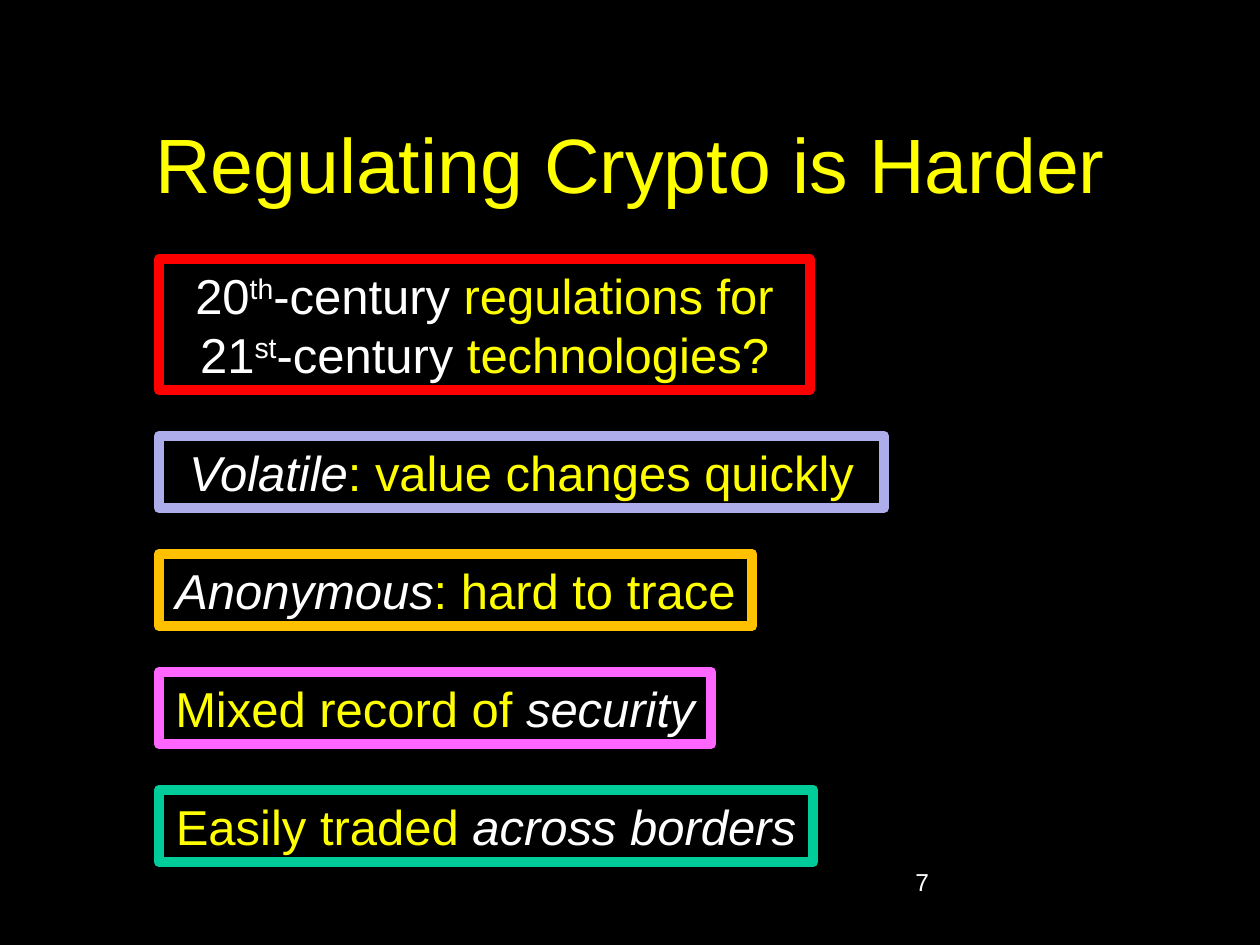
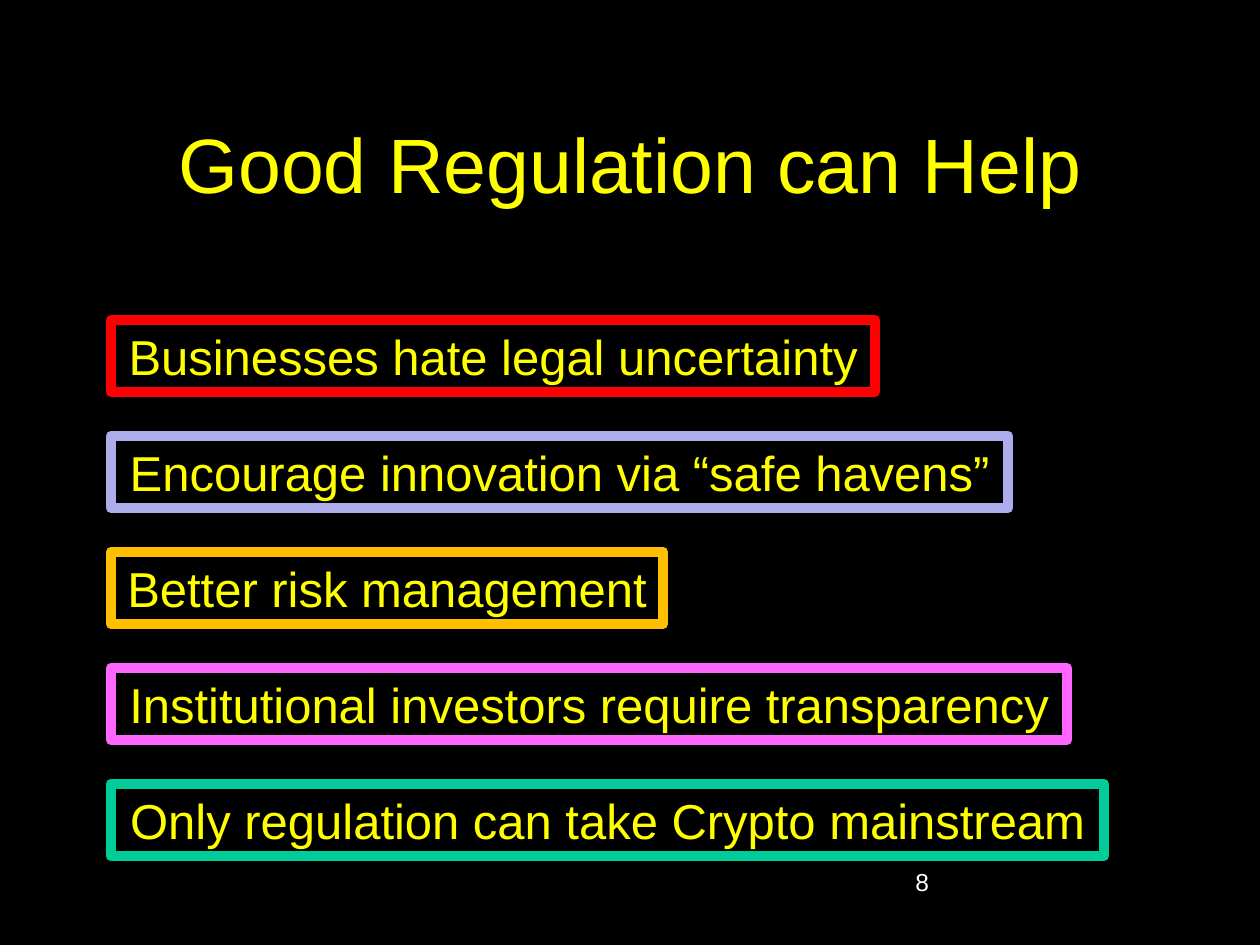
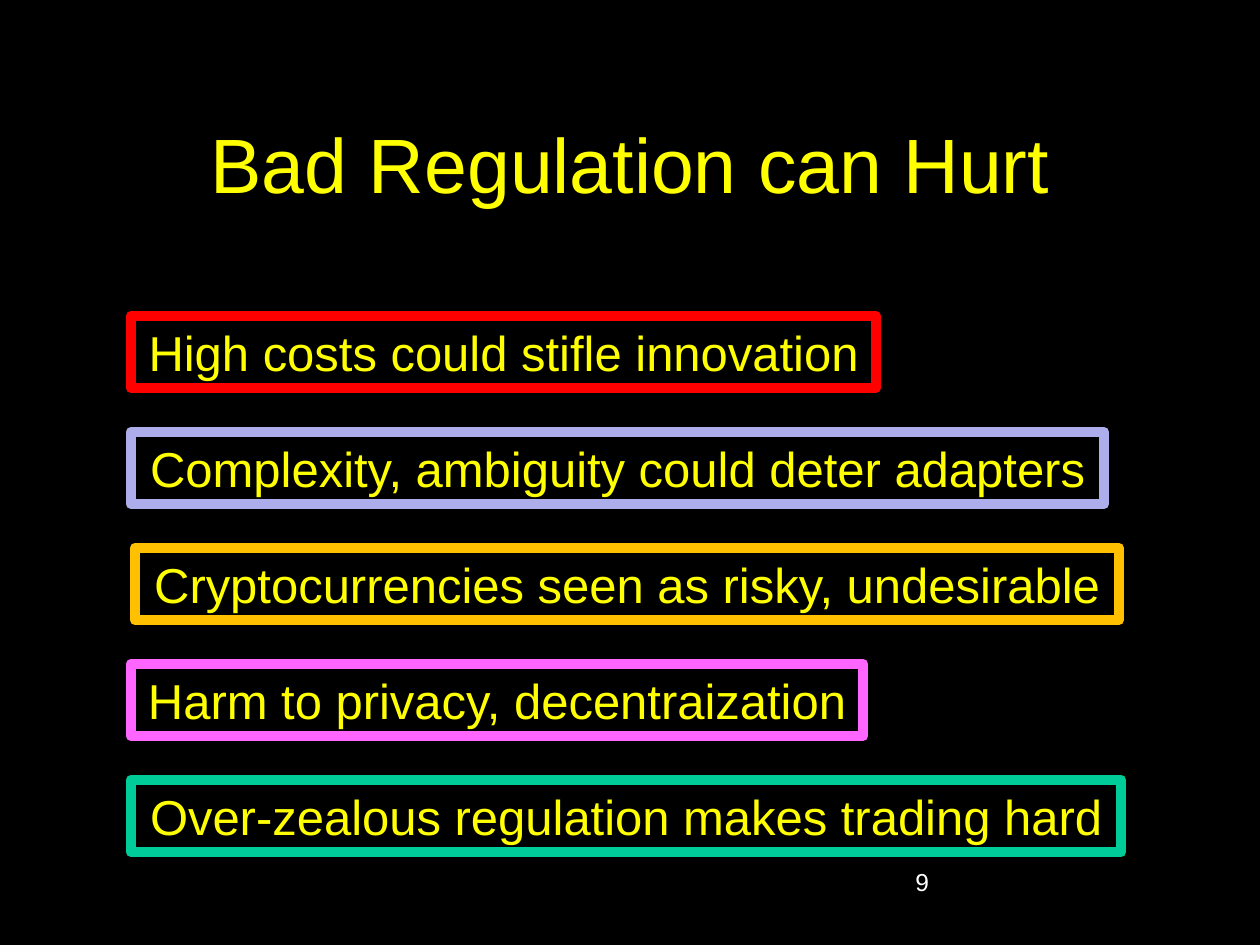
import pptx
import pptx.util
import pptx.dml.color
import pptx.enum.text
import pptx.enum.shapes

# Content: each slide has a title, the left and top of its stack, the gap
# between boxes, and the boxes as (width, lines, indent, runs).
# Run styles: key = yellow, plain = white, ital = white italic, sup = raised.
FIRST = 7
SLIDES = [
    ("Regulating Crypto is Harder", 159, 259, 46, [
        (651, 2, 0, [("20", "plain"), ("th", "sup"), ("-century", "plain"),
                     (" regulations for ", "key"),
                     ("21", "plain"), ("st", "sup"), ("-century", "plain"),
                     (" technologies?", "key")]),
        (725, 1, 0, [("Volatile", "ital"), (": value changes quickly", "key")]),
        (593, 1, 0, [("Anonymous", "ital"), (": hard to trace", "key")]),
        (552, 1, 0, [("Mixed record of ", "key"), ("security", "ital")]),
        (654, 1, 0, [("Easily traded ", "key"), ("across borders", "ital")]),
    ]),
    ("Good Regulation can Help", 111, 320, 44, [
        (764, 1, 0, [("Businesses hate legal uncertainty", "key")]),
        (897, 1, 0, [("Encourage innovation via “safe havens”", "key")]),
        (552, 1, 0, [("Better risk management", "key")]),
        (956, 1, 0, [("Institutional investors require transparency", "key")]),
        (993, 1, 0, [("Only regulation can take Crypto mainstream", "key")]),
    ]),
    ("Bad Regulation can Hurt", 131, 316, 44, [
        (745, 1, 0, [("High costs could stifle innovation", "key")]),
        (973, 1, 0, [("Complexity, ambiguity could deter adapters", "key")]),
        (984, 1, 4, [("Cryptocurrencies seen as risky, undesirable", "key")]),
        (732, 1, 0, [("Harm to privacy, decentraization", "key")]),
        (990, 1, 0, [("Over-zealous regulation makes trading hard", "key")]),
    ]),
]

# Shared look
BLACK, WHITE, YELLOW = "000000", "FFFFFF", "FFFF00"
EDGES = ["FF0000", "ADADEB", "FFC000", "FF66FF", "00CC99"]
HIGH = {1: 72, 2: 131}
TITLE = (95, 84, 1071, 158)
NUMBER = (903, 861, 262, 63)
CENTER = pptx.enum.text.PP_ALIGN.CENTER


def px(n):
    return pptx.util.Emu(round(n * 914400 / 126))


def rgb(code):
    return pptx.dml.color.RGBColor.from_string(code)


def place(shape, spot):
    shape.left, shape.top, shape.width, shape.height = map(px, spot)


def style(font, size, color):
    font.name = "Arial"
    font.size = pptx.util.Pt(size)
    font.color.rgb = rgb(color)


def add_box(slide, spot, edge, runs):
    box = slide.shapes.add_shape(
        pptx.enum.shapes.MSO_SHAPE.RECTANGLE, *map(px, spot))
    box.shadow.inherit = False
    box.fill.solid()
    box.fill.fore_color.rgb = rgb(BLACK)
    box.line.color.rgb = rgb(edge)
    box.line.width = pptx.util.Pt(6)
    frame = box.text_frame
    frame.word_wrap = True
    frame.auto_size = pptx.enum.text.MSO_AUTO_SIZE.SHAPE_TO_FIT_TEXT
    frame.vertical_anchor = pptx.enum.text.MSO_ANCHOR.TOP
    para = frame.paragraphs[0]
    para.alignment = CENTER
    for text, kind in runs:
        run = para.add_run()
        run.text = text
        style(run.font, 28, YELLOW if kind == "key" else WHITE)
        if kind == "ital":
            run.font.italic = True
        if kind == "sup":
            run._r.get_or_add_rPr().set("baseline", "30000")


def add_slide(deck, layout, num, title, left, top, gap, boxes):
    slide = deck.slides.add_slide(layout)

    # Title
    head = slide.shapes.title
    head.text_frame.text = title
    para = head.text_frame.paragraphs[0]
    para.alignment = CENTER
    style(para.runs[0].font, 44, YELLOW)

    # Slide number
    foot = slide.shapes.add_textbox(*map(px, NUMBER))
    foot.text_frame.word_wrap = True
    foot.text_frame.text = str(num)
    style(foot.text_frame.paragraphs[0].runs[0].font, 14, WHITE)

    # Stack of framed points
    for edge, (width, lines, shift, runs) in zip(EDGES, boxes):
        high = HIGH[lines]
        add_box(slide, (left + shift, top, width, high), edge, runs)
        top += high + gap


def main():
    deck = pptx.Presentation()
    deck.slide_width, deck.slide_height = px(1260), px(945)

    # Black master and one title place for all slides
    back = deck.slide_master.background.fill
    back.solid()
    back.fore_color.rgb = rgb(BLACK)
    layout = deck.slide_layouts.get_by_name("Title Only")
    place(layout.placeholders[0], TITLE)

    for num, page in enumerate(SLIDES, FIRST):
        add_slide(deck, layout, num, *page)
    deck.save("out.pptx")


if __name__ == "__main__":
    main()
